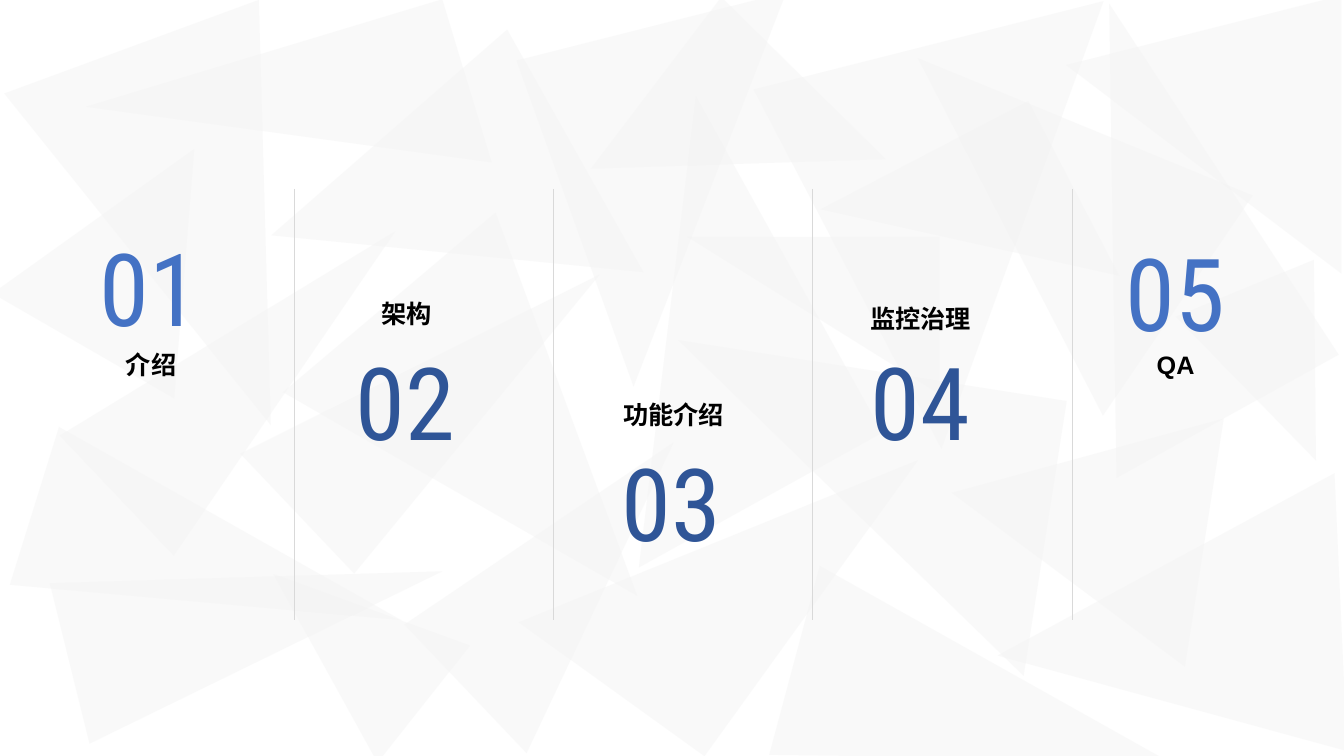
from lxml.etree import SubElement
from pptx import Presentation
from pptx.dml.color import RGBColor
from pptx.enum.shapes import MSO_CONNECTOR, MSO_SHAPE
from pptx.enum.text import MSO_ANCHOR, PP_ALIGN
from pptx.oxml.ns import qn
from pptx.util import Inches, Pt

SLIDE_WIDTH, SLIDE_HEIGHT = 13.33, 7.5

WHITE = RGBColor(0xFF, 0xFF, 0xFF)
BLACK = RGBColor(0x00, 0x00, 0x00)
PALE_GREY = RGBColor(0xF2, 0xF2, 0xF2)
LINE_GREY = RGBColor(0xD9, 0xD9, 0xD9)
LIGHT_BLUE = RGBColor(0x44, 0x72, 0xC4)
DARK_BLUE = RGBColor(0x2F, 0x55, 0x97)

# Column grid of the agenda
FIRST_DIVIDER = 2.92
COLUMN_WIDTH = 2.57
DIVIDER_TOP, DIVIDER_BOTTOM = SLIDE_HEIGHT * 0.25, SLIDE_HEIGHT * 0.82
NUMBER_WIDTH, NUMBER_HEIGHT = 1.89, 1.94
LABEL_HEIGHT = 0.42

# Number, label, colour, number centre, number top, label centre, label top
AGENDA = [
    ("01", "介绍", LIGHT_BLUE, 1.48, 1.87, 1.5, 3.44),
    ("02", "架构", DARK_BLUE, 4.02, 3, 4.03, 2.93),
    ("03", "功能介绍", DARK_BLUE, 6.66, 4, 6.68, 3.93),
    ("04", "监控治理", DARK_BLUE, 9.13, 3, 9.13, 2.98),
    ("05", "QA", LIGHT_BLUE, 11.66, 1.92, 11.66, 3.44),
]

# Left, top, width, height, rotation, apex position
TRIANGLES = [
    (1.34, 3.68, 1.64, 3.81, 107.3, 0.5),
    (1.72, 4.22, 1.64, 3.81, 76.1, 0.5),
    (0.65, 0.34, 2.69, 4, 159.8, 0.5),
    (1.72, 1.7, 1.64, 3.81, 46.5, 0.5),
    (4.89, 4.15, 1.76, 3.18, 46.5, 0.3),
    (3.71, 2.55, 2.76, 3.81, 139.8, 0.5),
    (9.44, 3.91, 2.49, 2.55, 278.9, 0.54),
    (7.06, 3.09, 2.76, 3.9, 278.9, 1),
    (5.99, 3.56, 2.27, 3.62, 35.8, 1),
    (9.91, 0.24, 2.52, 4.15, 331, 0.88),
    (5.24, 1.39, 2.76, 3.81, 331, 1),
    (6.08, 0.47, 2.29, 2.12, 224.6, 0.88),
    (7.9, 0.39, 3.58, 3.91, 165.8, 0.74),
    (5.5, 0.21, 2.76, 3.42, 165.8, 0.88),
    (3, 0.72, 2.76, 3.04, 240.7, 0.77),
    (10.21, 4.44, 2.76, 3.42, 267.4, 0.4),
    (7.29, 1.88, 1.56, 2.5, 270, 1),
    (-0.35, 1.7, 2.48, 1.88, 274.6, 0.36),
    (2.02, -0.51, 1.69, 3.69, 253.2, 1),
    (10.56, -0.03, 2.76, 2.73, 270, 0.75),
    (3.51, 1.88, 1.64, 3.81, 46.5, 0.71),
    (8.75, 5.14, 1.94, 3.81, 105, 0.5),
    (11.96, 2.79, 1.48, 1.85, 157.6, 0.5),
    (2.69, 5.39, 1.48, 1.97, 308.3, 0.56),
    (8.91, 0.29, 2.64, 3.51, 304.2, 0.72),
    (8.46, 1.43, 2.32, 1.95, 152.5, 0),
]


def add_triangle(shapes, left, top, width, height, rotation, apex):
    triangle = shapes.add_shape(
        MSO_SHAPE.ISOSCELES_TRIANGLE,
        Inches(left), Inches(top), Inches(width), Inches(height))
    triangle.adjustments[0] = apex
    triangle.rotation = rotation
    triangle.shadow.inherit = False
    triangle.line.fill.background()
    triangle.fill.solid()
    triangle.fill.fore_color.rgb = PALE_GREY
    # 42 % opacity
    color = triangle.fill._xPr.find(qn("a:solidFill"))[0]
    SubElement(color, qn("a:alpha"), val="42000")


def add_divider(slide, x):
    divider = slide.shapes.add_connector(
        MSO_CONNECTOR.STRAIGHT,
        Inches(x), Inches(DIVIDER_TOP), Inches(x), Inches(DIVIDER_BOTTOM))
    divider.line.color.rgb = LINE_GREY
    divider.line.width = Pt(0.25)
    SubElement(divider._element.spPr, qn("a:effectLst"))


def add_centred_text(slide, text, centre, top, width, height, font_name,
                     size, color, bold=False, anchor=MSO_ANCHOR.TOP,
                     line_spacing=1.0):
    box = slide.shapes.add_textbox(
        Inches(centre - width / 2), Inches(top), Inches(width), Inches(height))
    frame = box.text_frame
    frame.word_wrap = False
    frame.vertical_anchor = anchor
    frame.margin_left = frame.margin_right = 0
    frame.margin_top = frame.margin_bottom = 0
    paragraph = frame.paragraphs[0]
    paragraph.alignment = PP_ALIGN.CENTER
    paragraph.line_spacing = line_spacing
    run = paragraph.add_run()
    run.text = text
    run.font.name = font_name
    run.font.size = Pt(size)
    run.font.bold = bold
    run.font.color.rgb = color


def main():
    presentation = Presentation()
    presentation.slide_width = Inches(SLIDE_WIDTH)
    presentation.slide_height = Inches(SLIDE_HEIGHT)
    slide = presentation.slides.add_slide(presentation.slide_layouts[6])
    slide.background.fill.solid()
    slide.background.fill.fore_color.rgb = WHITE

    # Background pattern
    pattern = slide.shapes.add_group_shape()
    for triangle in TRIANGLES:
        add_triangle(pattern.shapes, *triangle)

    # Lines between the columns
    for index in range(len(AGENDA) - 1):
        add_divider(slide, FIRST_DIVIDER + index * COLUMN_WIDTH)

    # Agenda entries
    for (number, label, color, number_centre, number_top,
         label_centre, label_top) in AGENDA:
        add_centred_text(slide, number, number_centre, number_top,
                         NUMBER_WIDTH, NUMBER_HEIGHT, "Roboto Condensed",
                         72, color, anchor=MSO_ANCHOR.MIDDLE)
        add_centred_text(slide, label, label_centre, label_top,
                         COLUMN_WIDTH, LABEL_HEIGHT, "Arial", 18, BLACK,
                         bold=True, line_spacing=1.1)

    presentation.save("out.pptx")


if __name__ == "__main__":
    main()
